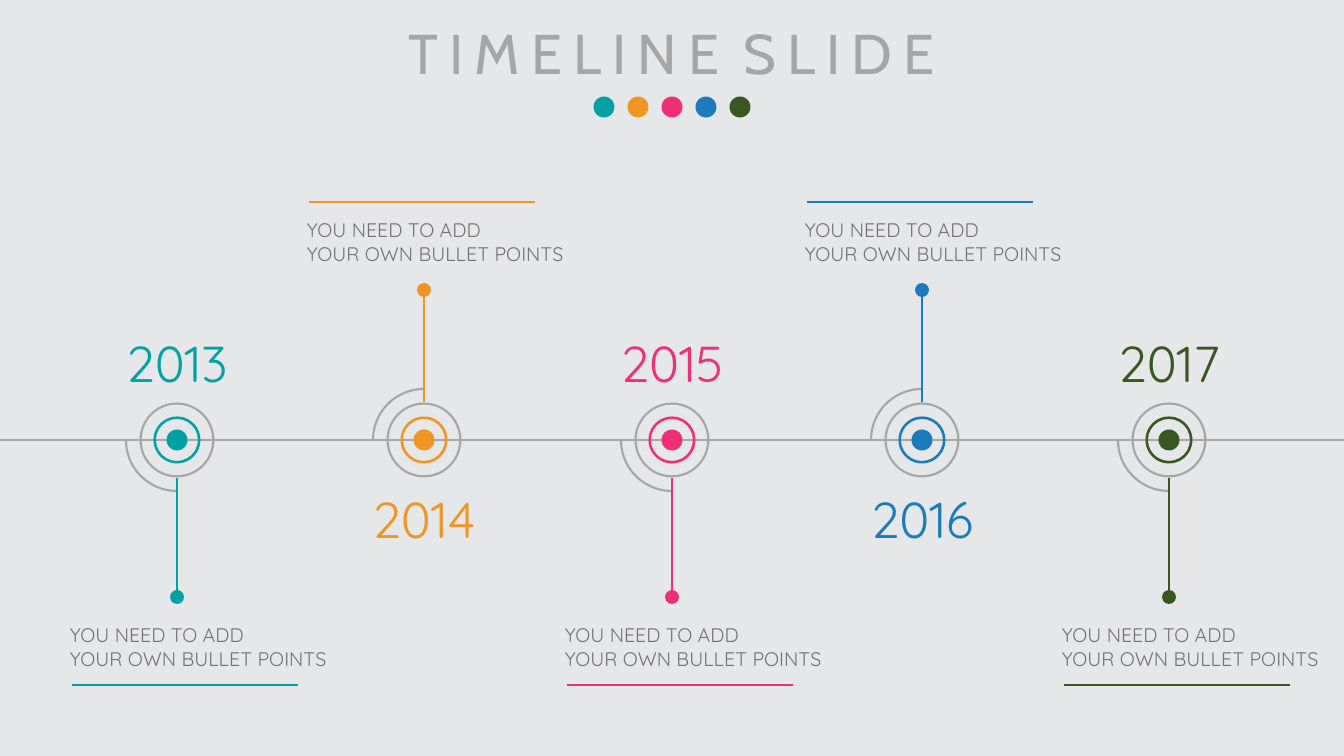
from dataclasses import dataclass

from lxml.etree import SubElement
from pptx import Presentation
from pptx.dml.color import RGBColor
from pptx.enum.shapes import MSO_CONNECTOR, MSO_SHAPE
from pptx.enum.text import MSO_AUTO_SIZE, PP_ALIGN
from pptx.oxml.ns import qn
from pptx.util import Emu, Pt

EMU_PER_INCH = 914400
PX_PER_INCH = 100.8


@dataclass(frozen=True)
class Theme:
    background: str = "E6E7E9"
    gray: str = "A6A6A6"
    caption: str = "767171"
    accents: tuple = ("03A1A4", "EE9524", "EF3078", "1C7CBB", "385723")
    title_font: str = "Cabin"
    body_font: str = "Quicksand"
    title_size: int = 40
    year_size: int = 36
    caption_size: int = 14
    title_spacing: int = 8
    line_width: float = 1.5


@dataclass(frozen=True)
class Box:
    left: float
    top: float
    width: float
    height: float

    @property
    def center_x(self):
        return self.left + self.width / 2

    @property
    def center_y(self):
        return self.top + self.height / 2


THEME = Theme()
SLIDE = Box(0, 0, 1344, 756)
HEADER = Box(271, 14, 802, 110)
TIMELINE = Box(0, 190, 1344, 500)
EVENT_WIDTH = 254
EVENT_CENTERS = (177, 424, 672, 922, 1169)
FIRST_YEAR = 2013
CAPTION = ("YOU NEED TO ADD", "YOUR OWN BULLET POINTS")


def px(length):
    return Emu(round(length * EMU_PER_INCH / PX_PER_INCH))


def rgb(color):
    return RGBColor.from_string(color)


def add_line(slide, start, end, color):
    line = slide.shapes.add_connector(
        MSO_CONNECTOR.STRAIGHT, *(px(value) for value in (*start, *end)))
    line.line.color.rgb = rgb(color)
    line.line.width = Pt(THEME.line_width)
    SubElement(line._element.spPr, qn("a:effectLst"))


def add_round(slide, kind, center, size, color, adjustments=()):
    """Place a filled dot or ring, or an outlined arc, around its center."""
    shape = slide.shapes.add_shape(
        kind, px(center[0] - size / 2), px(center[1] - size / 2), px(size), px(size))
    shape.shadow.inherit = False
    for index, value in enumerate(adjustments):
        shape.adjustments[index] = value
    if kind == MSO_SHAPE.ARC:
        shape.fill.background()
        shape.line.color.rgb = rgb(color)
        shape.line.width = Pt(THEME.line_width)
    else:
        shape.fill.solid()
        shape.fill.fore_color.rgb = rgb(color)
        shape.line.fill.background()
    return shape


def add_text(slide, box, lines, font, size, color, align=PP_ALIGN.LEFT):
    """Add one paragraph per line; each line is a list of run texts."""
    text_box = slide.shapes.add_textbox(
        px(box.left), px(box.top), px(box.width), px(box.height))
    text_frame = text_box.text_frame
    text_frame.word_wrap = True
    text_frame.auto_size = MSO_AUTO_SIZE.SHAPE_TO_FIT_TEXT
    for index, texts in enumerate(lines):
        paragraph = text_frame.add_paragraph() if index else text_frame.paragraphs[0]
        paragraph.alignment = align
        for text in texts:
            run = paragraph.add_run()
            run.text = text
            run.font.name = font
            run.font.size = Pt(size)
            run.font.color.rgb = rgb(color)
    return text_frame


def add_header(slide, box):
    title_box = Box(box.left, box.top, box.width, 78)
    title = add_text(slide, title_box, [["TIMELINE", " ", "SLIDE"]], THEME.title_font,
                     THEME.title_size, THEME.gray, PP_ALIGN.CENTER)
    for run in title.paragraphs[0].runs:
        if run.text.strip():
            run.font._element.set("spc", str(THEME.title_spacing * 100))
    pitch = 34
    first_center = box.center_x - pitch * (len(THEME.accents) - 1) / 2
    for index, color in enumerate(THEME.accents):
        center = (first_center + index * pitch, box.top + 93)
        add_round(slide, MSO_SHAPE.OVAL, center, 21, color)


def add_event(slide, box, year, color, upward):
    """Draw the marker in the middle of the box, with its stem up or down."""
    x, y = box.center_x, box.center_y
    direction = -1 if upward else 1
    arc = add_round(slide, MSO_SHAPE.ARC, (x, y), 102, THEME.gray, (54, 108))
    arc.rotation = 90 if upward else 0
    add_round(slide, MSO_SHAPE.OVAL, (x, y), 21, color)
    add_round(slide, MSO_SHAPE.DONUT, (x, y), 47, color, (0.053,))
    add_round(slide, MSO_SHAPE.DONUT, (x, y), 75, THEME.gray, (0.029,))
    add_line(slide, (x, y + direction * 38), (x, y + direction * 152), color)
    tip_offset = -150 if upward else 157
    add_round(slide, MSO_SHAPE.OVAL, (x, y + tip_offset), 14, color)

    year_top = y + (43 if upward else -113)
    add_text(slide, Box(x - 84, year_top, 168, 72), [[str(year)]], THEME.body_font,
             THEME.year_size, color, PP_ALIGN.CENTER)

    caption_left = box.left if upward else box.left + 10
    caption_top = y + (-227 if upward else 178)
    add_text(slide, Box(caption_left, caption_top, 353, 57), [[line] for line in CAPTION],
             THEME.body_font, THEME.caption_size, THEME.caption)
    rule_left = caption_left + 12
    rule_y = y + (-238 if upward else 245)
    add_line(slide, (rule_left, rule_y), (rule_left + 226, rule_y), color)


def add_timeline(slide, box):
    add_line(slide, (box.left, box.center_y), (box.left + box.width, box.center_y),
             THEME.gray)
    for index, (center, color) in enumerate(zip(EVENT_CENTERS, THEME.accents)):
        event_box = Box(box.left + center - EVENT_WIDTH / 2, box.top,
                        EVENT_WIDTH, box.height)
        add_event(slide, event_box, FIRST_YEAR + index, color, upward=index % 2 == 1)


def main():
    presentation = Presentation()
    presentation.slide_width = px(SLIDE.width)
    presentation.slide_height = px(SLIDE.height)
    slide = presentation.slides.add_slide(presentation.slide_layouts[6])
    slide.background.fill.solid()
    slide.background.fill.fore_color.rgb = rgb(THEME.background)
    add_timeline(slide, TIMELINE)
    add_header(slide, HEADER)
    presentation.save("out.pptx")


if __name__ == "__main__":
    main()
